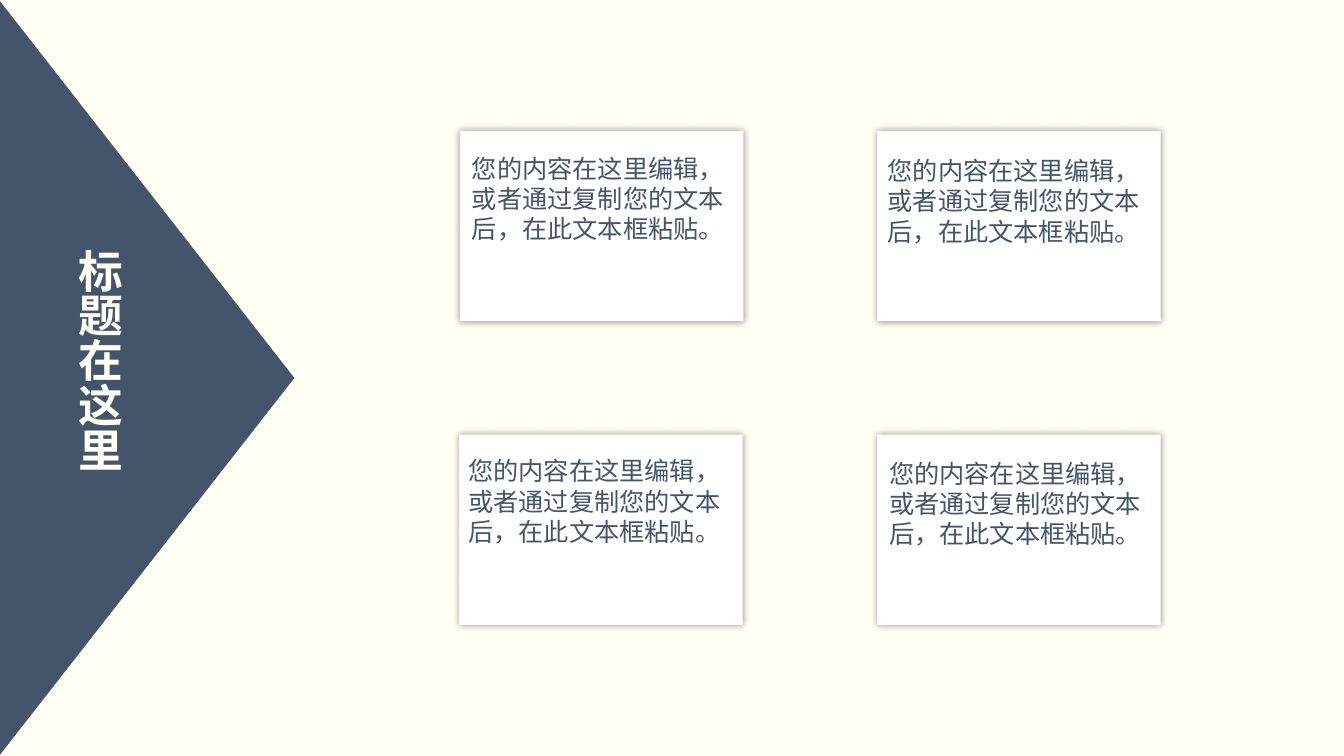
from lxml import etree
from pptx import Presentation
from pptx.dml.color import RGBColor
from pptx.enum.shapes import MSO_SHAPE as SHAPE
from pptx.enum.text import MSO_ANCHOR as ANCHOR, MSO_AUTO_SIZE as AUTO, PP_ALIGN as ALIGN
from pptx.oxml import parse_xml
from pptx.oxml.ns import nsdecls, qn
from pptx.util import Pt

IVORY = RGBColor(0xFF, 0xFF, 0xF3)
WHITE = RGBColor(0xFF, 0xFF, 0xFF)
SLATE = RGBColor(0x44, 0x54, 0x6A)
FONT = "Noto Sans CJK SC"

CARD_TEXT = "您的内容在这里编辑，或者通过复制您的文本后，在此文本框粘贴。"
CARD_W, CARD_H = 202.5, 136
# card left, card top, text left, text top
CARDS = [
    (328.5, 93.5, 330, 106),
    (626.5, 93.5, 627, 107.5),
    (328, 310.5, 327.5, 322),
    (626.5, 310.5, 628, 323.5),
]


def write(tf, text, size, color, bold=False):
    """Fill a text frame with one left-aligned paragraph."""
    tf.word_wrap = True
    tf.auto_size = AUTO.SHAPE_TO_FIT_TEXT
    tf.vertical_anchor = ANCHOR.TOP
    p = tf.paragraphs[0]
    p.alignment = ALIGN.LEFT
    r = p.add_run()
    r.text = text
    font = r.font
    font.name, font.size, font.bold = FONT, Pt(size), bold
    font.color.rgb = color
    latin = r._r.get_or_add_rPr().find(qn("a:latin"))
    latin.addnext(parse_xml(f'<a:ea {nsdecls("a")} typeface="{FONT}"/>'))


class Deck:
    def __init__(self):
        self.prs = Presentation()
        self.prs.slide_width, self.prs.slide_height = Pt(960), Pt(540)
        self.s = self.prs.slides.add_slide(self.prs.slide_layouts[5])
        fill = self.s.background.fill
        fill.solid()
        fill.fore_color.rgb = IVORY

    def shape(self, kind, x, y, w, h, color):
        sp = self.s.shapes.add_shape(kind, Pt(x), Pt(y), Pt(w), Pt(h))
        sp.fill.solid()
        sp.fill.fore_color.rgb = color
        sp.line.fill.background()
        sp.shadow.inherit = False
        return sp

    def card(self, x, y):
        """White rectangle with a soft glow-like shadow."""
        sp = self.shape(SHAPE.RECTANGLE, x, y, CARD_W, CARD_H, WHITE)
        effects = sp._element.spPr.find(qn("a:effectLst"))
        shadow = etree.SubElement(effects, qn("a:outerShdw"), blurRad=str(Pt(5)),
                                  dist="0", dir="0", algn="ctr", rotWithShape="0")
        black = etree.SubElement(shadow, qn("a:srgbClr"), val="000000")
        etree.SubElement(black, qn("a:alpha"), val="40000")

    def text(self, x, y, w, h, text, **fmt):
        box = self.s.shapes.add_textbox(Pt(x), Pt(y), Pt(w), Pt(h))
        write(box.text_frame, text, **fmt)

    def side_arrow(self, cx, cy, base, depth):
        """Triangle centred on (cx, cy), turned to point right."""
        sp = self.shape(SHAPE.ISOSCELES_TRIANGLE, cx - base / 2, cy - depth / 2,
                        base, depth, SLATE)
        sp.rotation = 90

    def vertical_title(self, x, y, w, h, text, **fmt):
        title = self.s.shapes.title
        title.left, title.top, title.width, title.height = map(Pt, (x, y, w, h))
        write(title.text_frame, text, **fmt)
        title.text_frame._txBody.bodyPr.set("vert", "eaVert")
        self.s.shapes._spTree.append(title._element)  # bring to front


def main():
    deck = Deck()
    for x, y, text_x, text_y in CARDS:
        deck.card(x, y)
        deck.text(text_x, text_y, CARD_W, 72.5, CARD_TEXT, size=18, color=SLATE)
    deck.side_arrow(104, 270, 544, 212.5)
    deck.vertical_title(44.5, 174, 53, 191.5, "标题在这里", size=32, color=IVORY, bold=True)
    deck.prs.save("out.pptx")


if __name__ == "__main__":
    main()
